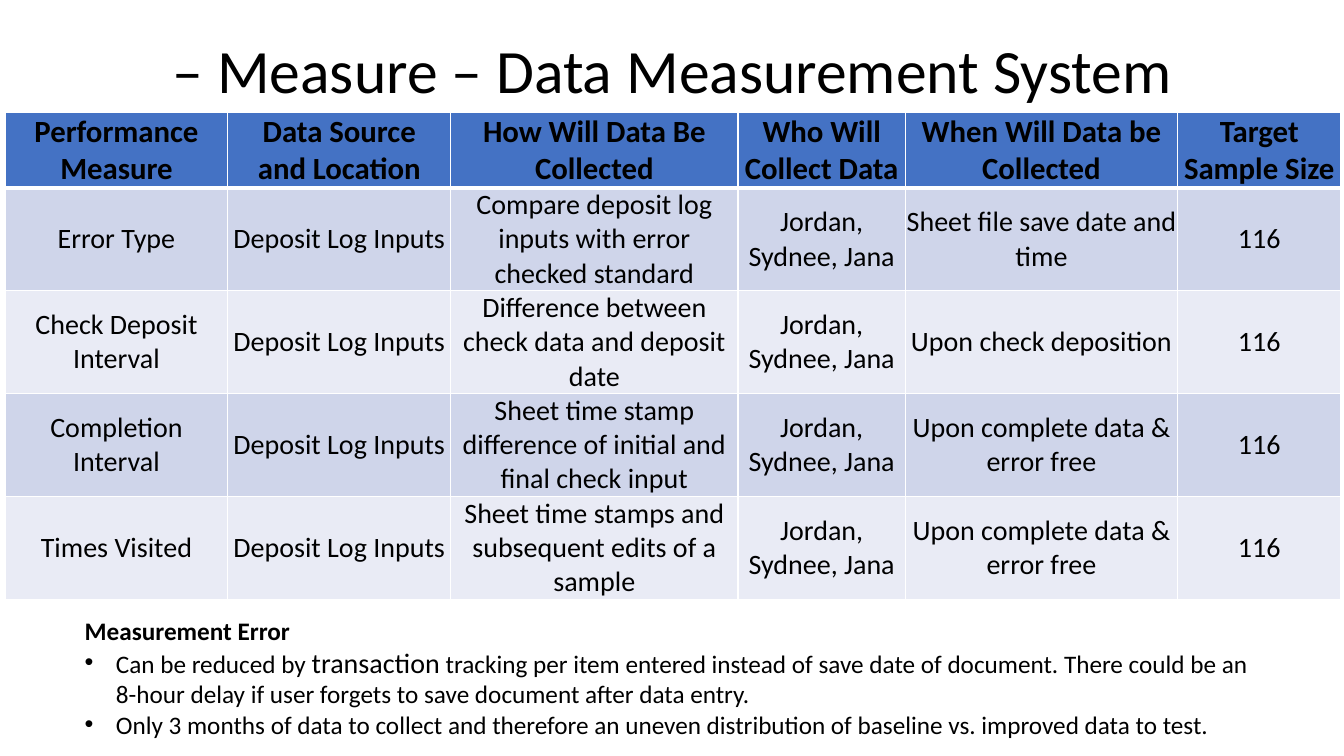
from dataclasses import dataclass

from lxml import etree
from pptx import Presentation
from pptx.dml.color import RGBColor
from pptx.enum.text import MSO_ANCHOR, MSO_AUTO_SIZE, PP_ALIGN
from pptx.oxml.ns import qn
from pptx.util import Inches, Pt

CENTER, LEFT = PP_ALIGN.CENTER, PP_ALIGN.LEFT
MIDDLE, TOP = MSO_ANCHOR.MIDDLE, MSO_ANCHOR.TOP
NO_AUTOFIT = MSO_AUTO_SIZE.NONE

FONT = "Calibri"
BLACK, WHITE, HEADER_BLUE = "000000", "FFFFFF", "4472C4"
BANDS = ("CFD5EA", "E9EBF5")

COLUMN_WIDTHS = (2.21, 2.21, 2.85, 1.66, 2.7, 1.62)
ROW_HEIGHTS = (0.72, 0.97, 0.97, 0.97, 0.88)
HEADERS = (
    "Performance Measure", "Data Source\nand Location", "How Will Data Be Collected",
    "Who Will Collect Data", "When Will Data be Collected", "Target Sample Size",
)


@dataclass
class Measure:
    name: str
    how: str
    when: str
    source: str = "Deposit Log Inputs"
    who: str = "Jordan, Sydnee, Jana"
    sample: str = "116"

    def cells(self) -> tuple[str, ...]:
        return self.name, self.source, self.how, self.who, self.when, self.sample


@dataclass
class Span:
    text: str
    size: float = 18
    bold: bool = False


MEASURES = (
    Measure("Error Type", "Compare deposit log inputs with error checked standard",
            "Sheet file save date and time"),
    Measure("Check Deposit Interval", "Difference between check data and deposit date",
            "Upon check deposition"),
    Measure("Completion Interval",
            "Sheet time stamp difference of initial and final check input",
            "Upon complete data & error free"),
    Measure("Times Visited", "Sheet time stamps and subsequent edits of a sample",
            "Upon complete data & error free"),
)
ERROR_HEADING = (Span("Measurement Error", bold=True),)
ERROR_POINTS = (
    (Span("Can be reduced by "), Span("transaction", size=20),
     Span(" tracking per item entered instead of save date of document. There could be "
          "an 8-hour delay if user forgets to save document after data entry.")),
    (Span("Only 3 months of data to collect and therefore an uneven distribution of "
          "baseline vs. improved data to test."),),
)


def color(value: str) -> RGBColor:
    return RGBColor.from_string(value)


def write(para, text: str, *, size: float, bold: bool = False, align=CENTER,
          line_spacing: float = 1.0) -> None:
    """Append one formatted run to a paragraph."""
    para.alignment = align
    para.line_spacing = line_spacing
    para.space_before = para.space_after = Pt(0)
    span = para.add_run()
    span.text = text
    span.font.name, span.font.size, span.font.bold = FONT, Pt(size), bold
    span.font.color.rgb = color(BLACK)


def place(shape, left: float, top: float, width: float, height: float, anchor) -> None:
    shape.left, shape.top = Inches(left), Inches(top)
    shape.width, shape.height = Inches(width), Inches(height)
    frame = shape.text_frame
    frame.word_wrap, frame.auto_size = True, NO_AUTOFIT
    frame.vertical_anchor = anchor


def set_bullet(para, bullet: str = "", indent: float = 0) -> None:
    properties = para._p.get_or_add_pPr()
    properties.set("marL", str(Inches(indent)))
    properties.set("indent", str(-Inches(indent)))
    if bullet:
        etree.SubElement(properties, qn("a:buFont"), typeface="Arial")
        etree.SubElement(properties, qn("a:buChar"), char=bullet)
    else:
        etree.SubElement(properties, qn("a:buNone"))


def set_borders(cell, **widths: float) -> None:
    """Draw white borders; keywords are the sides L, R, T and B in points."""
    properties = cell._tc.get_or_add_tcPr()
    for position, (side, width) in enumerate(widths.items()):
        line = etree.Element(qn(f"a:ln{side}"), w=str(Pt(width)))
        fill = etree.SubElement(line, qn("a:solidFill"))
        etree.SubElement(fill, qn("a:srgbClr"), val=WHITE)
        properties.insert(position, line)


def fill_cell(cell, text: str, fill: str, *, size: float, bold: bool,
              top: float, bottom: float) -> None:
    cell.fill.solid()
    cell.fill.fore_color.rgb = color(fill)
    cell.vertical_anchor = MIDDLE
    cell.margin_left = cell.margin_right = cell.margin_top = cell.margin_bottom = 0
    for index, line in enumerate(text.split("\n")):
        frame = cell.text_frame
        para = frame.add_paragraph() if index else frame.paragraphs[0]
        write(para, line, size=size, bold=bold)
    set_borders(cell, L=1, R=1, T=top, B=bottom)


def add_measure_table(page) -> None:
    rows = (HEADERS, *(measure.cells() for measure in MEASURES))
    table = page.shapes.add_table(
        len(rows), len(HEADERS), Inches(0.05), Inches(1.12),
        Inches(sum(COLUMN_WIDTHS)), Inches(sum(ROW_HEIGHTS))).table
    for column, width in zip(table.columns, COLUMN_WIDTHS):
        column.width = Inches(width)
    for index, (texts, height) in enumerate(zip(rows, ROW_HEIGHTS)):
        header = index == 0
        table.rows[index].height = Inches(height)
        for cell, text in zip(table.rows[index].cells, texts):
            fill_cell(cell, text, HEADER_BLUE if header else BANDS[(index - 1) % 2],
                      size=22 if header else 20, bold=header,
                      top=3 if index == 1 else 1, bottom=3 if header else 1)


def add_error_notes(body) -> None:
    place(body, 0.74, 6.05, 11.85, 1.35, TOP)
    frame = body.text_frame
    for index, spans in enumerate((ERROR_HEADING, *ERROR_POINTS)):
        para = frame.add_paragraph() if index else frame.paragraphs[0]
        for span in spans:
            write(para, span.text, size=span.size, bold=span.bold, align=LEFT)
        if index:
            set_bullet(para, "•", 0.31)
        else:
            set_bullet(para)


def main() -> None:
    deck = Presentation()
    deck.slide_width, deck.slide_height = Inches(13.33), Inches(7.5)
    page = deck.slides.add_slide(deck.slide_layouts[1])
    title, body = page.placeholders

    # Title
    place(title, 0.92, 0, 11.5, 1.45, MIDDLE)
    write(title.text_frame.paragraphs[0], "– Measure – Data Measurement System",
          size=44, line_spacing=0.9)

    # Measurement plan and its sources of error
    add_measure_table(page)
    add_error_notes(body)

    deck.save("out.pptx")


if __name__ == "__main__":
    main()
